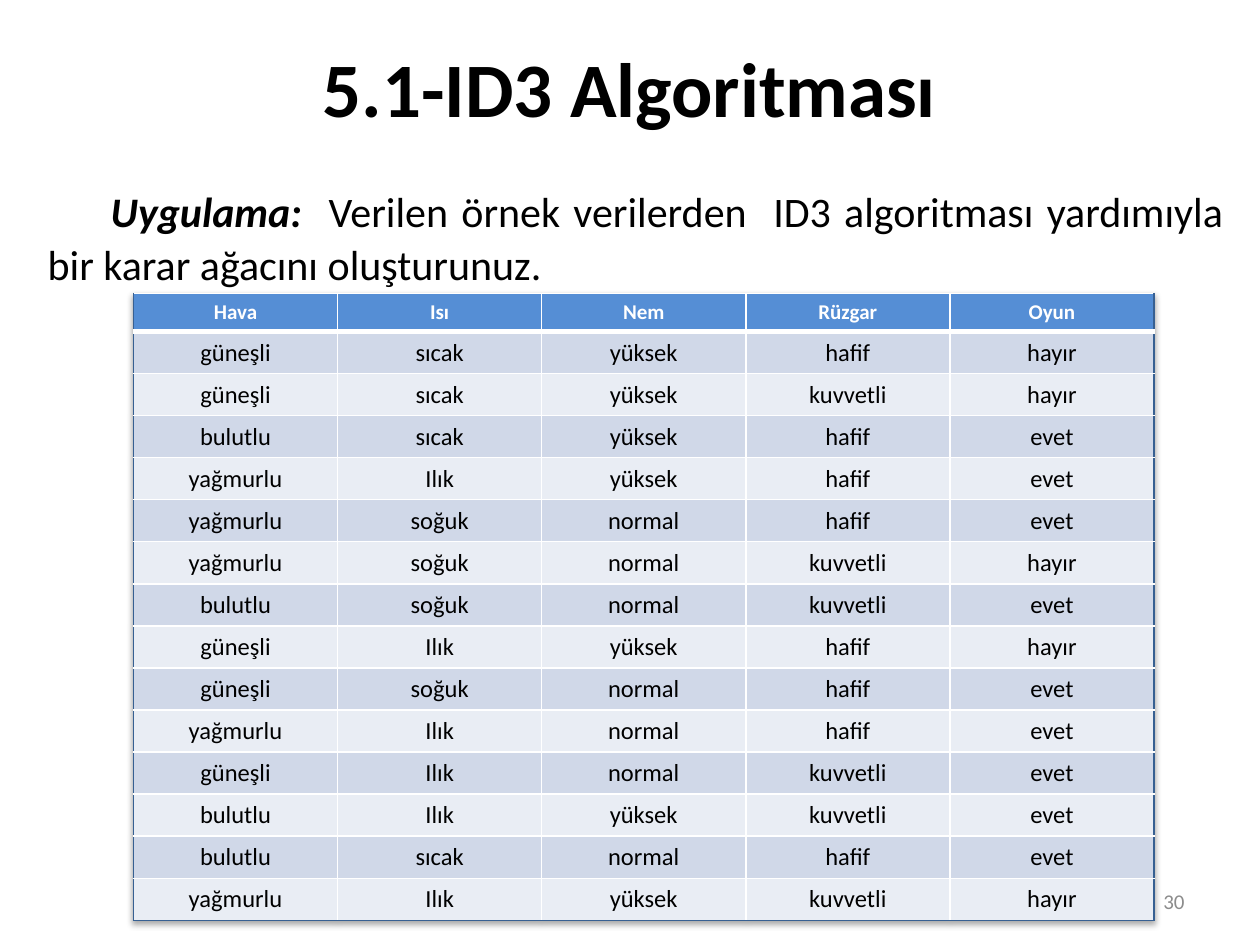
from lxml.etree import SubElement
from pptx import Presentation
from pptx.dml.color import RGBColor
from pptx.enum.text import MSO_ANCHOR, PP_ALIGN
from pptx.oxml import parse_xml
from pptx.oxml.ns import nsdecls, qn
from pptx.util import Inches, Pt

WIDTH, HEIGHT = 10, 7.5
FONT = "Calibri"
BLACK, WHITE, GREY = "000000", "FFFFFF", "8C8C8C"
HEADER_FILL, OUTLINE = "558ED5", "376092"
BANDS = ["D0D8E8", "E9EDF4"]

HEADERS = ["Hava", "Isı", "Nem", "Rüzgar", "Oyun"]
SAMPLES = [line.split() for line in """
güneşli sıcak yüksek hafif hayır
güneşli sıcak yüksek kuvvetli hayır
bulutlu sıcak yüksek hafif evet
yağmurlu Ilık yüksek hafif evet
yağmurlu soğuk normal hafif evet
yağmurlu soğuk normal kuvvetli hayır
bulutlu soğuk normal kuvvetli evet
güneşli Ilık yüksek hafif hayır
güneşli soğuk normal hafif evet
yağmurlu Ilık normal hafif evet
güneşli Ilık normal kuvvetli evet
bulutlu Ilık yüksek kuvvetli evet
bulutlu sıcak normal hafif evet
yağmurlu Ilık yüksek kuvvetli hayır
""".strip().splitlines()]


def color(value):
    return RGBColor.from_string(value)


def write(para, text, size, fill=BLACK, bold=False, italic=False, align=None):
    """Add one formatted span of text to a paragraph."""
    if align is not None:
        para.alignment = align
    span = para.add_run()
    span.text = text
    span.font.name, span.font.size = FONT, Pt(size)
    span.font.bold, span.font.italic = bold, italic
    span.font.color.rgb = color(fill)


def add_box(page, box, anchor=MSO_ANCHOR.TOP):
    frame = page.shapes.add_textbox(*map(Inches, box)).text_frame
    frame.word_wrap = True
    frame.vertical_anchor = anchor
    return frame.paragraphs[0]


def add_title(page, box, text):
    title = page.shapes.title
    title.left, title.top, title.width, title.height = map(Inches, box)
    title.text_frame.vertical_anchor = MSO_ANCHOR.MIDDLE
    write(title.text_frame.paragraphs[0], text, 44, bold=True,
          align=PP_ALIGN.CENTER)


def add_task(page, box):
    para = add_box(page, box)
    write(para, "\t", 32, align=PP_ALIGN.JUSTIFY)
    write(para, "Uygulama:  ", 24, bold=True, italic=True)
    write(para, "Verilen örnek verilerden  ID3 algoritması yardımıyla "
                "bir karar ağacını oluşturunuz.", 24)


def add_page_number(page, box, number):
    para = add_box(page, box, MSO_ANCHOR.MIDDLE)
    write(para, number, 12, GREY, align=PP_ALIGN.RIGHT)


def set_borders(cell, borders):
    """Draw cell sides given as {side: (colour, points)}, in L R T B order."""
    properties = cell._tc.get_or_add_tcPr()
    for position, (side, (value, points)) in enumerate(borders.items()):
        line = parse_xml(f'<a:ln{side} {nsdecls("a")} w="{Pt(points)}"/>')
        fill = SubElement(line, qn("a:solidFill"))
        SubElement(fill, qn("a:srgbClr"), val=value)
        properties.insert(position, line)


def add_table_shadow(table):
    table._tbl.tblPr.insert(0, parse_xml(
        f'<a:effectLst {nsdecls("a")}>'
        '<a:outerShdw blurRad="40000" dist="23000" dir="5400000" rotWithShape="0">'
        '<a:srgbClr val="000000"><a:alpha val="35000"/></a:srgbClr>'
        '</a:outerShdw></a:effectLst>'))


def add_samples(page, box):
    rows = [HEADERS] + SAMPLES
    last_row, last_column = len(rows) - 1, len(HEADERS) - 1
    table = page.shapes.add_table(len(rows), len(HEADERS),
                                  *map(Inches, box)).table
    add_table_shadow(table)
    for column in table.columns:
        column.width = Inches(box[2] / len(HEADERS))
    for r, row in enumerate(rows):
        header = r == 0
        table.rows[r].height = Inches(box[3] / len(rows))
        for c, text in enumerate(row):
            cell = table.cell(r, c)
            cell.fill.solid()
            cell.fill.fore_color.rgb = color(
                HEADER_FILL if header else BANDS[(r - 1) % 2])
            cell.vertical_anchor = MSO_ANCHOR.MIDDLE if header else MSO_ANCHOR.TOP
            write(cell.text_frame.paragraphs[0], text, 12 if header else 14,
                  WHITE if header else BLACK, bold=header,
                  align=PP_ALIGN.CENTER)
            set_borders(cell, {
                "L": (OUTLINE if c == 0 else WHITE, 1),
                "R": (OUTLINE if c == last_column else WHITE, 1),
                "T": (WHITE, 3 if r == 1 else 1),
                "B": (OUTLINE if r == last_row else WHITE, 3 if header else 1),
            })


def main():
    deck = Presentation()
    deck.slide_width, deck.slide_height = Inches(WIDTH), Inches(HEIGHT)
    page = deck.slides.add_slide(deck.slide_layouts[5])
    margin = WIDTH / 20

    # Title and task
    add_title(page, (margin, 0.06, WIDTH - 2 * margin, 1.25),
              "5.1-ID3 Algoritması")
    add_task(page, (0.28, 1.31, 9.53, 3.97))

    # Page number and sample data
    add_page_number(page, (WIDTH - margin - 2.33, 6.95, 2.33, 0.4), "30")
    add_samples(page, (1.06, 2.33, 8.1, 4.5))
    deck.save("out.pptx")


if __name__ == "__main__":
    main()
